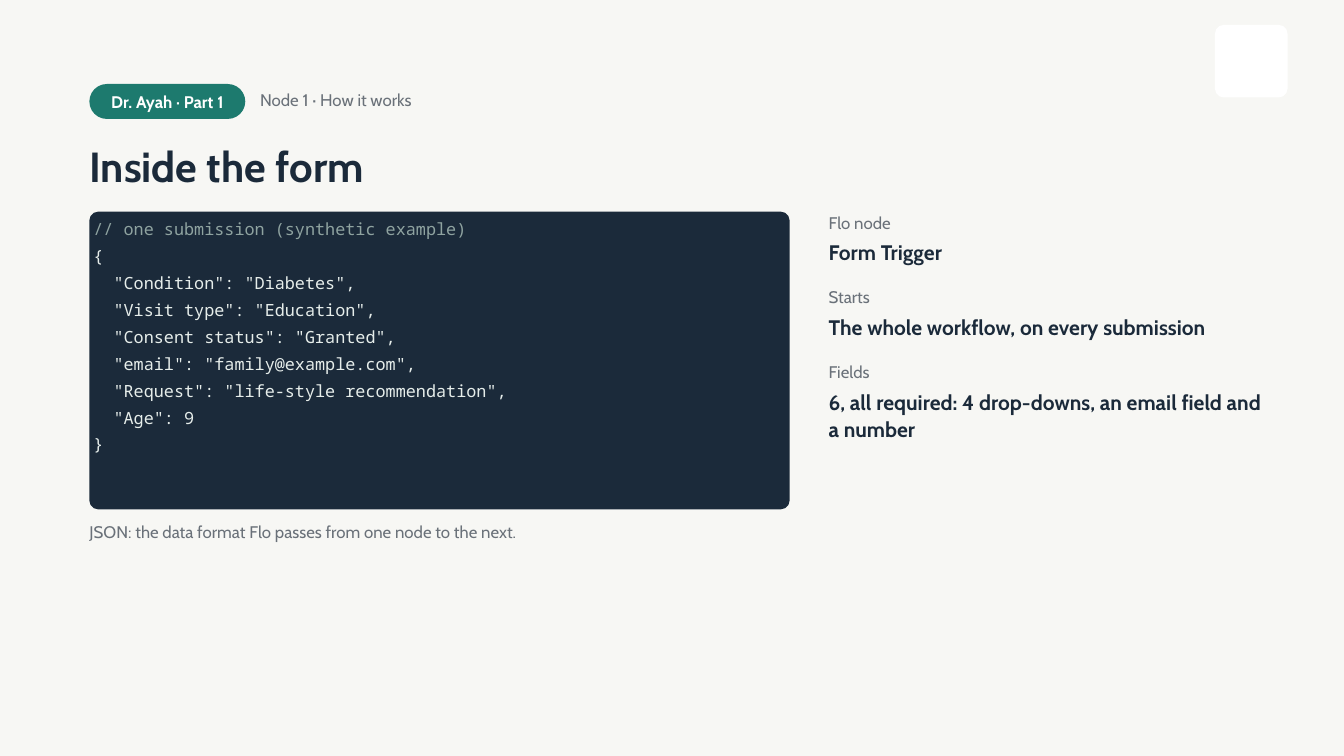
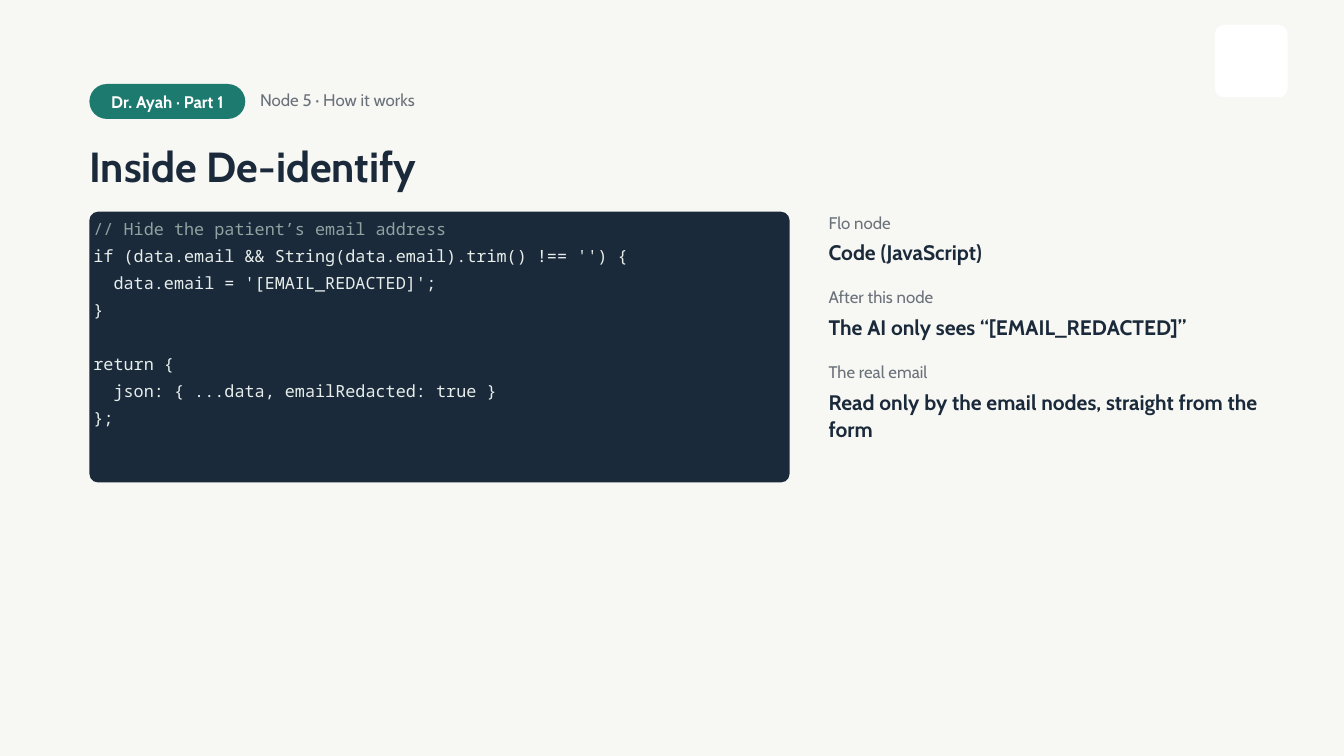
from pptx import Presentation
from pptx.dml.color import RGBColor
from pptx.enum.shapes import MSO_SHAPE
from pptx.enum.text import MSO_ANCHOR, PP_ALIGN
from pptx.util import Inches, Pt

ROUNDED = MSO_SHAPE.ROUNDED_RECTANGLE
CENTER = PP_ALIGN.CENTER
MIDDLE = MSO_ANCHOR.MIDDLE

PAPER = RGBColor(0xF7, 0xF7, 0xF4)
WHITE = RGBColor(0xFF, 0xFF, 0xFF)
TEAL = RGBColor(0x1D, 0x7A, 0x6E)
NAVY = RGBColor(0x1B, 0x2A, 0x3A)
GREY = RGBColor(0x6A, 0x71, 0x79)
CODE_COMMENT = RGBColor(0x8F, 0xA3, 0xA0)
CODE_TEXT = RGBColor(0xE6, 0xED, 0xEA)

SANS = "Cabin"
MONO = "Noto Sans Mono"

# Lengths in inches
PAGE_WIDTH, PAGE_HEIGHT = 20, 11.25
LEFT = 1.33
PANEL_TOP, PANEL_WIDTH = 3.15, 10.42
FACTS_LEFT, FACTS_TOP, FACTS_WIDTH = 12.33, 3.11, 6.52
FACT_STEP, LABEL_HEIGHT = 1.11, 0.43
CORNER = 0.13
CODE_INSET = 0.06
CODE_LEADING = 28.8  # points
CODE_LINE = CODE_LEADING / 72

SLIDES = [
    {
        "topic": "Node 1 · How it works",
        "title": "Inside the form",
        "code": '''// one submission (synthetic example)
{
  "Condition": "Diabetes",
  "Visit type": "Education",
  "Consent status": "Granted",
  "email": "family@example.com",
  "Request": "life-style recommendation",
  "Age": 9
}''',
        "caption": "JSON: the data format Flo passes from one node to the next.",
        "facts": [
            ("Flo node", "Form Trigger"),
            ("Starts", "The whole workflow, on every submission"),
            ("Fields", "6, all required: 4 drop-downs, an email field and a number"),
        ],
    },
    {
        "topic": "Node 5 · How it works",
        "title": "Inside De-identify",
        "code": '''// Hide the patient’s email address
if (data.email && String(data.email).trim() !== '') {
  data.email = '[EMAIL_REDACTED]';
}

return {
  json: { ...data, emailRedacted: true }
};''',
        "caption": None,
        "facts": [
            ("Flo node", "Code (JavaScript)"),
            ("After this node", "The AI only sees “[EMAIL_REDACTED]”"),
            ("The real email", "Read only by the email nodes, straight from the form"),
        ],
    },
]


def add_panel(page, left, top, width, height, color, radius=CORNER):
    panel = page.shapes.add_shape(
        ROUNDED, Inches(left), Inches(top), Inches(width), Inches(height))
    panel.adjustments[0] = radius / min(width, height)
    panel.shadow.inherit = False
    panel.fill.solid()
    panel.fill.fore_color.rgb = color
    panel.line.fill.background()


def add_frame(page, left, top, width, height, inset=0):
    box = page.shapes.add_textbox(
        Inches(left), Inches(top), Inches(width), Inches(height))
    frame = box.text_frame
    frame.word_wrap = True
    frame.margin_left = frame.margin_right = Inches(inset)
    frame.margin_top = frame.margin_bottom = Inches(inset)
    return frame


def write(para, text, size, color, leading, font=SANS, bold=False):
    para.text = text
    para.line_spacing = Pt(leading)
    para.font.name = font
    para.font.size = Pt(size)
    para.font.bold = bold
    para.font.color.rgb = color


def add_note(page, left, top, width, text):
    """Small grey line, used for the topic, the caption and fact labels."""
    frame = add_frame(page, left, top, width, LABEL_HEIGHT)
    write(frame.paragraphs[0], text, 18, GREY, 25.2)


def add_header(page, topic, title):
    add_panel(page, 18.08, 0.37, 1.08, 1.08, WHITE)

    pill_top, pill_width, pill_height = 1.25, 2.32, 0.52
    add_panel(page, LEFT, pill_top, pill_width, pill_height, TEAL, pill_height / 2)
    frame = add_frame(page, LEFT, pill_top - 0.03, pill_width, pill_height + 0.03, 0.06)
    frame.vertical_anchor = MIDDLE
    para = frame.paragraphs[0]
    write(para, "Dr. Ayah · Part 1", 18, WHITE, 25.2, bold=True)
    para.alignment = CENTER

    add_note(page, LEFT + pill_width + 0.22, pill_top + 0.04, 2.95, topic)
    frame = add_frame(page, LEFT, 2.13, 15.88, 0.73)
    write(frame.paragraphs[0], title, 45, NAVY, 51.7, bold=True)


def add_code(page, code, caption):
    """Dark panel sized by its line count; an empty line becomes a gap."""
    lines = code.splitlines()
    height = len(lines) * CODE_LINE + 0.83
    add_panel(page, LEFT, PANEL_TOP, PANEL_WIDTH, height, NAVY)
    frame = add_frame(
        page, LEFT, PANEL_TOP - 0.05, PANEL_WIDTH, height + 0.06, CODE_INSET)
    para = frame.paragraphs[0]
    gap = 0
    for index, line in enumerate(lines):
        if not line:
            gap += CODE_LEADING
            continue
        if index:
            para = frame.add_paragraph()
        color = CODE_COMMENT if line.startswith("//") else CODE_TEXT
        write(para, line, 18, color, CODE_LEADING, MONO)
        if gap:
            para.space_before = Pt(gap)
            gap = 0
    if caption:
        add_note(page, LEFT, PANEL_TOP + height + 0.13, 10.73, caption)


def add_facts(page, facts):
    for row, (label, value) in enumerate(facts):
        top = FACTS_TOP + row * FACT_STEP
        add_note(page, FACTS_LEFT, top, FACTS_WIDTH, label)
        height = 0.87 if len(value) > 45 else 0.47
        frame = add_frame(page, FACTS_LEFT, top + LABEL_HEIGHT, FACTS_WIDTH, height)
        write(frame.paragraphs[0], value, 22.5, NAVY, 29.2, bold=True)


def add_node_slide(deck, content):
    page = deck.slides.add_slide(deck.slide_layouts[6])
    page.background.fill.solid()
    page.background.fill.fore_color.rgb = PAPER
    add_header(page, content["topic"], content["title"])
    add_code(page, content["code"], content["caption"])
    add_facts(page, content["facts"])


def main():
    deck = Presentation()
    deck.slide_width = Inches(PAGE_WIDTH)
    deck.slide_height = Inches(PAGE_HEIGHT)
    for content in SLIDES:
        add_node_slide(deck, content)
    deck.save("out.pptx")


if __name__ == "__main__":
    main()
